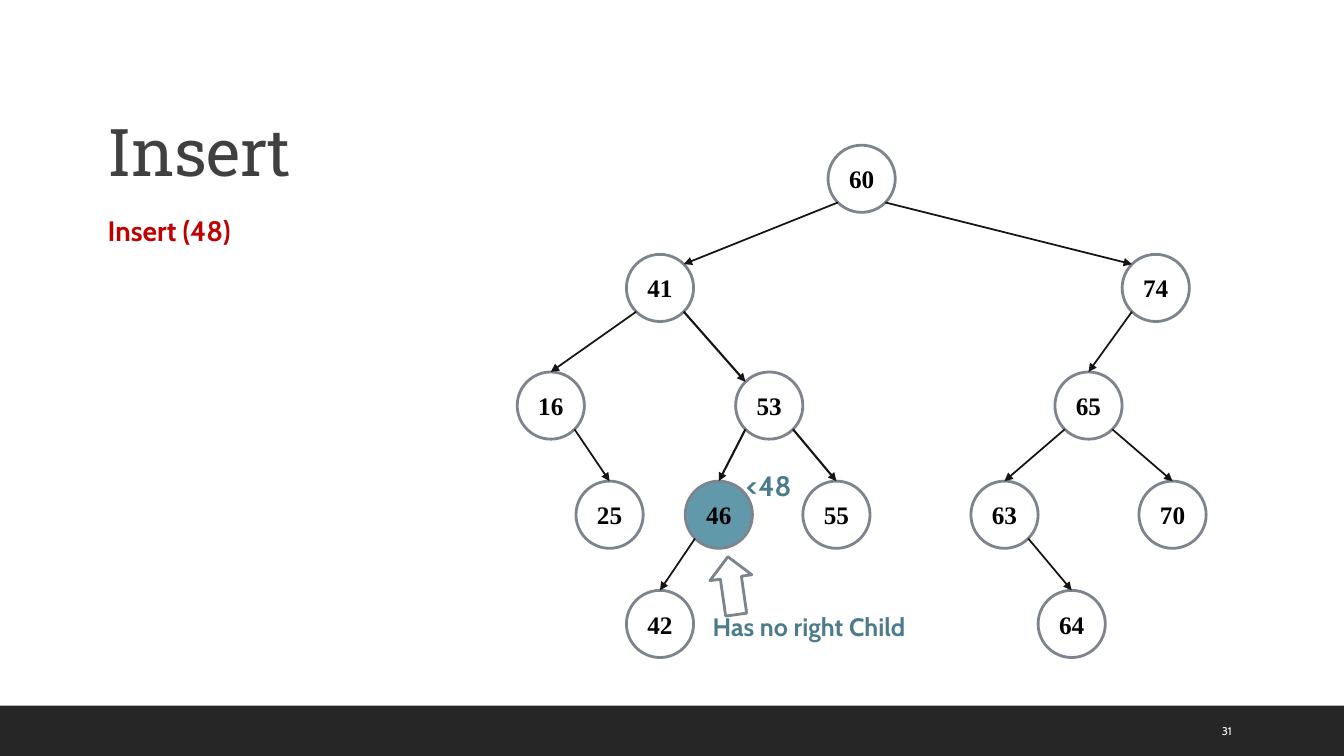
"""Build a slide that shows the search for the place of 48 in a binary tree."""
from pptx import Presentation
from pptx.dml.color import RGBColor
from pptx.enum.shapes import MSO_CONNECTOR, MSO_SHAPE
from pptx.enum.text import MSO_ANCHOR, MSO_AUTO_SIZE, PP_ALIGN
from pptx.oxml.ns import qn
from pptx.util import Inches, Pt
from lxml.etree import SubElement

WIDE, HIGH = Inches(13.33), Inches(7.5)
CELL = Inches(1) / 12
SIZE = 8
LEFT, TOP = 0.3848 * WIDE, 0.192 * HIGH
ROWS = (0, 13, 27, 40, 53)
HUES = {
    "bar": "262626", "title": "404040", "task": "C00000", "note": "4C7C8B",
    "ring": "7E848D", "edge": "161514", "hit": "6299AA", "ink": "000000",
    "white": "FFFFFF",
}
NODES = {
    60: (37, 0), 41: (13, 1), 74: (72, 1), 16: (0, 2), 53: (26, 2),
    65: (64, 2), 70: (74, 3), 63: (54, 3), 64: (62, 4), 55: (34, 3),
    46: (20, 3), 25: (7, 3), 42: (13, 4),
}
EDGES = (
    (60, 41, "right", 1.25), (60, 74, "left", 1.25), (41, 16, "top", 1.25),
    (41, 53, "left", 1.5), (74, 65, "top", 1.25), (53, 55, "top", 1.5),
    (53, 46, "top", 1.5), (16, 25, "top", 1.25), (46, 42, "top", 1.25),
    (65, 63, "top", 1.25), (65, 70, "top", 1.25), (63, 64, "top", 1.25),
)
SLANT = SIZE / 2 * 0.5 ** 0.5
ENDS = {"top": (0, -SIZE / 2), "left": (-SLANT, -SLANT), "right": (SLANT, -SLANT)}


def tint(name):
    return RGBColor.from_string(HUES[name])


def put(item, **form):
    for key, value in form.items():
        setattr(item, key, value)


def area(*shares):
    return [round(part * full / 100) for part, full in zip(shares, (WIDE, HIGH) * 2)]


def write(shape, text, hue, size, name="Cabin", bold=True, align=PP_ALIGN.LEFT, **form):
    put(shape.text_frame, **form)
    line = shape.text_frame.paragraphs[0]
    line.alignment = align
    run = line.add_run()
    run.text = text
    put(run.font, size=Pt(size), name=name, bold=bold)
    run.font.color.rgb = tint(hue)
    return run


def label(slide, box, text, hue, size, **form):
    shape = slide.shapes.add_textbox(*area(*box))
    write(shape, text, hue, size, word_wrap=True, **form)


def draw(slide, kind, box, fill, ring=None):
    shape = slide.shapes.add_shape(kind, *box)
    shape.shadow.inherit = False
    shape.fill.solid()
    shape.fill.fore_color.rgb = tint(fill)
    if ring:
        shape.line.color.rgb = tint(ring)
        shape.line.width = Pt(2)
    else:
        shape.line.fill.background()
    return shape


def spot(col, row):
    return round(LEFT + col * CELL), round(TOP + row * CELL)


def node(slide, key, col, level):
    side = round(SIZE * CELL)
    box = (*spot(col, ROWS[level]), side, side)
    shape = draw(slide, MSO_SHAPE.OVAL, box, "hit" if key == 46 else "white", "ring")
    write(shape, str(key), "ink", 18, "Times New Roman", align=PP_ALIGN.CENTER,
          word_wrap=False, vertical_anchor=MSO_ANCHOR.MIDDLE)


def core(key):
    col, level = NODES[key]
    return col + SIZE / 2, ROWS[level] + SIZE / 2


def edge(slide, head, child, end, width):
    (col, row), (goal, floor) = core(head), core(child)
    side = SLANT if goal > col else -SLANT
    across, down = ENDS[end]
    link = slide.shapes.add_connector(
        MSO_CONNECTOR.STRAIGHT, *spot(col + side, row + SLANT),
        *spot(goal + across, floor + down))
    put(link.line, width=Pt(width))
    link.line.color.rgb = tint("edge")
    SubElement(link.line._get_or_add_ln(), qn("a:tailEnd"), type="triangle")
    SubElement(link._element.spPr, qn("a:effectLst"))


def title(slide, box, text):
    shape = slide.shapes.title
    put(shape, **dict(zip(("left", "top", "width", "height"), area(*box))))
    run = write(shape, text, "title", 47, "Roboto Slab", False, word_wrap=True,
                auto_size=MSO_AUTO_SIZE.NONE, vertical_anchor=MSO_ANCHOR.BOTTOM)
    shape.text_frame.paragraphs[0].line_spacing = 0.9
    run.font._element.set("spc", "-50")


def main():
    deck = Presentation()
    put(deck, slide_width=WIDE, slide_height=HIGH)
    slide = deck.slides.add_slide(deck.slide_layouts[5])
    draw(slide, MSO_SHAPE.RECTANGLE, area(0, 93.33, 100, 6.67), "bar")
    title(slide, (7.28, 4.67, 82.52, 21.2), "Insert")
    label(slide, (7.28, 27.6, 12.53, 5.87), "Insert (48)", "task", 20)
    for key, place in NODES.items():
        node(slide, key, *place)
    for link in EDGES:
        edge(slide, *link)
    label(slide, (54.76, 61.33, 6.23, 5.87), "<48", "note", 20)
    arrow = draw(slide, MSO_SHAPE.LEFT_ARROW, area(52.29, 74.67, 4.35, 5.6), "white", "ring")
    arrow.rotation = 81.9
    label(slide, (52.29, 80.27, 18.15, 5.33), "Has no right Child", "note", 18)
    label(slide, (90.17, 94, 6.38, 5.33), "31", "white", 8, bold=False,
          vertical_anchor=MSO_ANCHOR.MIDDLE)
    deck.save("out.pptx")


if __name__ == "__main__":
    main()
